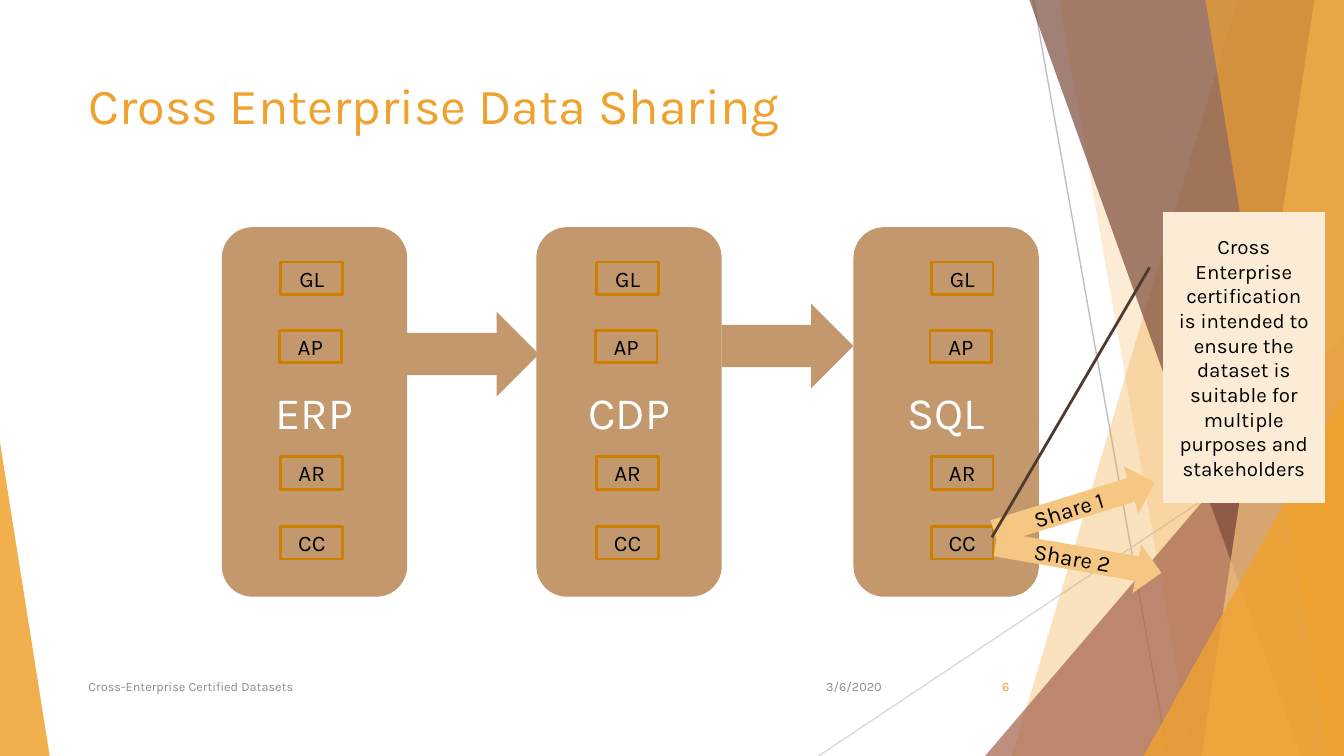
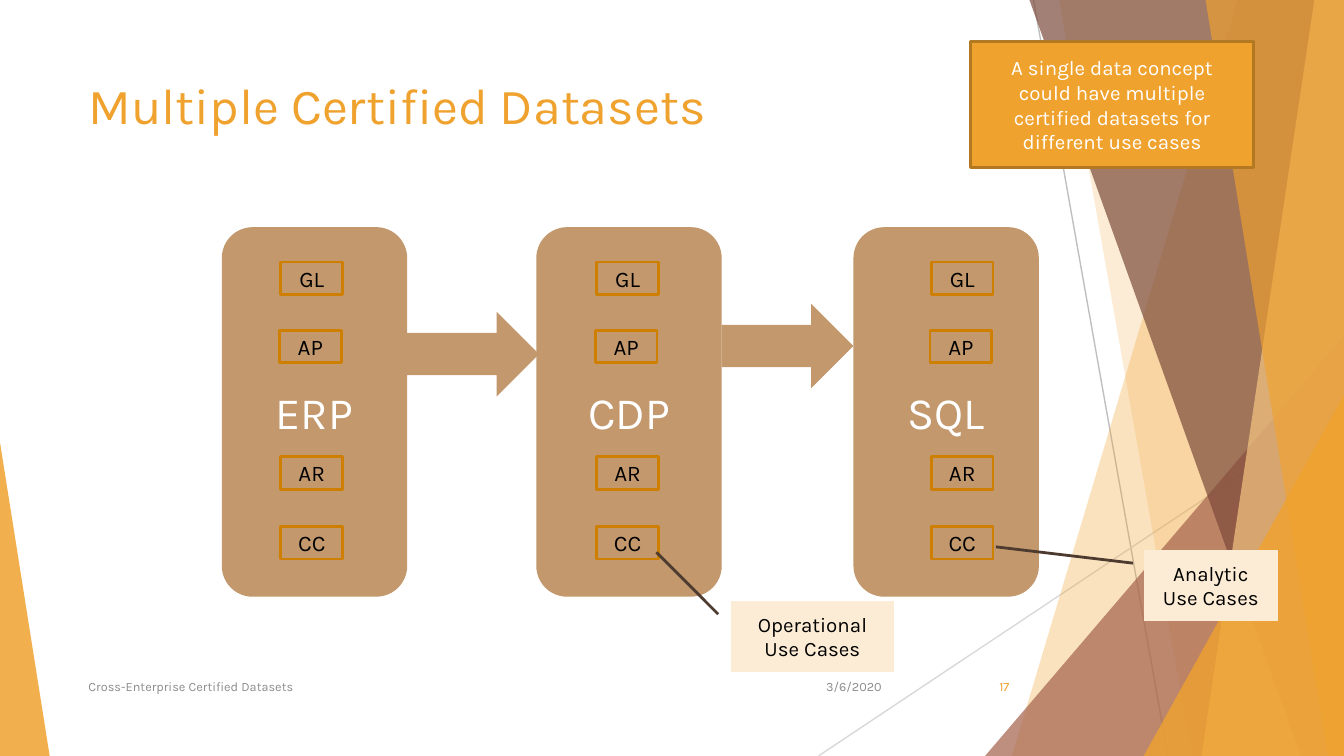
"""Builds two slides on sharing certified datasets across an enterprise."""
import pptx
import pptx.dml.color
import pptx.enum.shapes
import pptx.enum.text
import pptx.oxml
import pptx.oxml.ns
import pptx.util

RGBColor = pptx.dml.color.RGBColor
SHAPE = pptx.enum.shapes.MSO_SHAPE
ALIGN = pptx.enum.text.PP_ALIGN
ANCHOR = pptx.enum.text.MSO_ANCHOR

AMBER = RGBColor(0xF0, 0xA2, 0x2E)
AMBER_EDGE = RGBColor(0xB2, 0x78, 0x22)
PALE_AMBER = RGBColor(0xF6, 0xC7, 0x82)
CREAM = RGBColor(0xFC, 0xEC, 0xD5)
TAN = RGBColor(0xC3, 0x98, 0x6D)
ORANGE = RGBColor(0xCF, 0x7F, 0x00)
RUST = RGBColor(0xA5, 0x64, 0x4E)
BROWN = RGBColor(0x7C, 0x4B, 0x3B)
DARK_BROWN = RGBColor(0x4E, 0x3B, 0x30)
LIGHT_GREY = RGBColor(0xD9, 0xD9, 0xD9)
MID_GREY = RGBColor(0xBF, 0xBF, 0xBF)
FOOTER_GREY = RGBColor(0x8C, 0x8C, 0x8C)
BLACK = RGBColor(0, 0, 0)
WHITE = RGBColor(0xFF, 0xFF, 0xFF)

PX = 4572
WIDTH, HEIGHT = 2000, 1125
FONT = "Karla"

SYSTEMS = {"ERP": (330, 418), "CDP": (798, 888), "SQL": (1270, 1386)}
DATASETS = {"GL": (0, 390), "AP": (-2, 492), "AR": (0, 680), "CC": (0, 784)}
FLOWS = [(606, 464), (1074, 452)]


class Deck:
    def __init__(self):
        self.deck = pptx.Presentation()
        self.deck.slide_width = WIDTH * PX
        self.deck.slide_height = HEIGHT * PX
        self.slide = None

    def new_slide(self, title, number):
        self.slide = self.deck.slides.add_slide(self.deck.slide_layouts[6])
        self.facets()
        self.label(title, (112, 100, 1410, 216), 27, AMBER, anchor=ANCHOR.TOP)
        self.label(number, (1410, 992, 112, 60), 6.8, AMBER, ALIGN.RIGHT)
        self.label("3/6/2020", (1182, 992, 150, 60), 6.8, FOOTER_GREY, ALIGN.RIGHT)
        self.label("Cross-Enterprise Certified Datasets", (112, 992, 1034, 60), 6.8, FOOTER_GREY)

    def set_text(self, holder, text, size, color, align=ALIGN.CENTER, anchor=ANCHOR.MIDDLE):
        frame = holder.text_frame
        for name, value in {"word_wrap": True, "vertical_anchor": anchor}.items():
            setattr(frame, name, value)
        paragraph = frame.paragraphs[0]
        paragraph.alignment = align
        run = paragraph.add_run()
        run.text = text
        for name, value in {"name": FONT, "size": pptx.util.Pt(size)}.items():
            setattr(run.font, name, value)
        run.font.color.rgb = color

    def label(self, text, box, size, color, align=ALIGN.LEFT, anchor=ANCHOR.MIDDLE):
        holder = self.slide.shapes.add_textbox(*(v * PX for v in box))
        self.set_text(holder, text, size, color, align, anchor)

    def paint(self, shape, fill=None, edge=None, opacity=100):
        shape.shadow.inherit = False
        if fill is None:
            shape.fill.background()
        else:
            shape.fill.solid()
            shape.fill.fore_color.rgb = fill
        if opacity < 100:
            tint = shape.element.spPr.find(".//" + pptx.oxml.ns.qn("a:srgbClr"))
            alpha = pptx.oxml.parse_xml(
                f'<a:alpha {pptx.oxml.ns.nsdecls("a")} val="{opacity * 1000}"/>')
            tint.append(alpha)
        if edge is None:
            shape.line.fill.background()
        else:
            shape.line.color.rgb = edge
            shape.line.width = pptx.util.Pt(1.5)

    def block(self, kind, box, fill=None, edge=None, text="", size=12, color=BLACK,
              adjust=(), rotation=0, opacity=100):
        shape = self.slide.shapes.add_shape(kind, *(v * PX for v in box))
        self.paint(shape, fill, edge, opacity)
        shape.rotation = rotation
        for index, value in enumerate(adjust):
            shape.adjustments[index] = value
        if text:
            self.set_text(shape, text, size, color)

    def shard(self, points, fill, opacity):
        builder = self.slide.shapes.build_freeform(*points[0], scale=PX)
        builder.add_line_segments(points[1:], close=True)
        self.paint(builder.convert_to_shape(), fill, opacity=opacity)

    def ray(self, start, end, color):
        line = self.slide.shapes.add_connector(
            pptx.enum.shapes.MSO_CONNECTOR.STRAIGHT, *(v * PX for v in start + end))
        line.line.color.rgb = color
        line.line.width = pptx.util.Pt(0.75)
        line.element.spPr.append(
            pptx.oxml.parse_xml(f'<a:effectLst {pptx.oxml.ns.nsdecls("a")}/>'))

    def band(self, top, bottom, fill, opacity):
        self.shard([(top, 0), (WIDTH, 0), (WIDTH, HEIGHT), (bottom, HEIGHT)], fill, opacity)

    def wedge(self, left, top, width, tip, fill, opacity):
        self.block(SHAPE.ISOSCELES_TRIANGLE, (left, top, width, HEIGHT - top), fill,
                   adjust=[tip], opacity=opacity)

    def facets(self):
        self.ray((1538, 0), (1738, HEIGHT), MID_GREY)
        self.ray((WIDTH, 604), (1218, HEIGHT), LIGHT_GREY)
        self.band(1842, 1506, AMBER, 30)
        self.band(1576, 1774, AMBER, 20)
        self.wedge(1466, 500, 534, 1, RUST, 72)
        self.band(1532, 1936, BROWN, 70)
        self.band(1956, 1788, PALE_AMBER, 70)
        self.band(1794, 1976, AMBER, 65)
        self.wedge(1702, 588, 298, 1, AMBER, 80)
        self.wedge(0, 658, 74, 0, AMBER, 85)

    def pipeline(self):
        for system, (left, _) in SYSTEMS.items():
            self.block(SHAPE.ROUNDED_RECTANGLE, (left, 338, 276, 550), TAN,
                       text=system, size=24, color=WHITE)
        for left, top in FLOWS:
            self.block(SHAPE.RIGHT_ARROW, (left, top, 196, 126), TAN)
        for _, column in SYSTEMS.values():
            for dataset, (shift, top) in DATASETS.items():
                self.block(SHAPE.RECTANGLE, (column + shift, top, 92, 48),
                           edge=ORANGE, text=dataset)

    def share(self, text, left, top, rotation):
        self.block(SHAPE.RIGHT_ARROW, (left, top, 250, 74), PALE_AMBER,
                   text=text, rotation=rotation)

    def callout(self, text, box, target):
        self.block(SHAPE.LINE_CALLOUT_1_NO_BORDER, box, CREAM, DARK_BROWN, text, 11,
                   adjust=(0.19, -0.08) + target)


def main():
    deck = Deck()

    deck.new_slide("Cross Enterprise Data Sharing", "6")
    deck.pipeline()
    deck.share("Share 1", 1474, 718, 342.8)
    deck.share("Share 2", 1480, 794, 9.9)
    deck.callout("Cross Enterprise certification is intended to ensure the dataset is "
                 "suitable for multiple purposes and stakeholders",
                 (1730, 316, 242, 432), (1.12, -1.05))

    deck.new_slide("Multiple Certified Datasets", "17")
    deck.pipeline()
    deck.callout("Analytic Use Cases", (1702, 818, 200, 106), (-0.04, -1.1))
    deck.block(SHAPE.RECTANGLE, (1444, 62, 422, 188), AMBER, AMBER_EDGE,
               "A single data concept could have multiple certified datasets "
               "for different use cases", 11, WHITE)
    deck.callout("Operational Use Cases", (1088, 894, 242, 106), (-0.68, -0.46))

    deck.deck.save("out.pptx")


if __name__ == "__main__":
    main()
